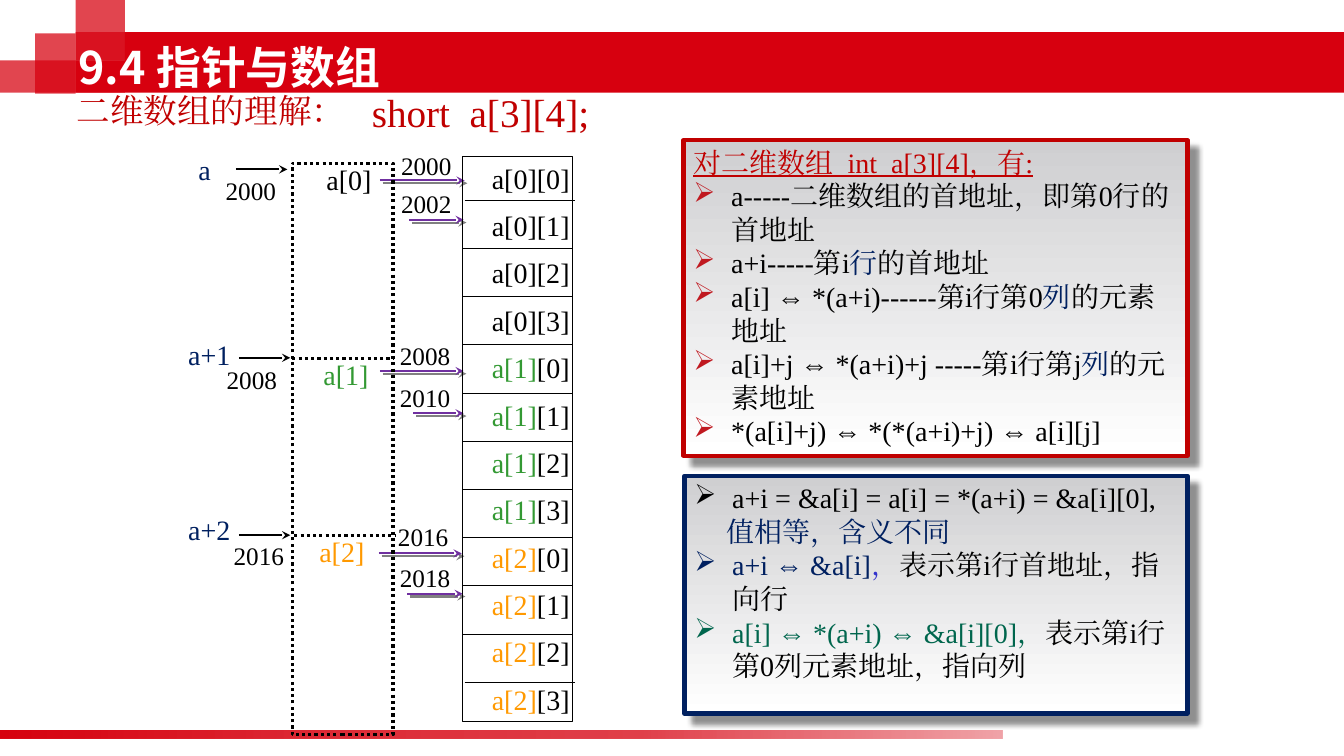
"""Build the slide on pointers and two-dimensional arrays."""
import pptx
import pptx.dml.color
import pptx.enum.dml
import pptx.enum.shapes
import pptx.enum.text
import pptx.oxml.ns
import pptx.util
from lxml import etree

Pt = pptx.util.Pt
qn = pptx.oxml.ns.qn
RED, WINE, NAVY, BLACK, WHITE = "D7000F", "C00000", "002060", "000000", "FFFFFF"
GREEN, AMBER, TEAL, PURPLE, GREY = "339933", "FF9900", "00664D", "7030A0", "808080"
SERIF, SANS = "Times New Roman", "Noto Sans CJK SC"

TITLE = "9.4 指针与数组"
TOPIC = "二维数组的理解："
CODE = "short  a[3][4];"
TILES = [(0, 43.2, 89.3, 23), (25.2, 23.8, 28.8, 43.2),
         (54, -1.4, 35.3, 44.6), (54, 23, 35.3, 20.2)]
SOLID = [(54, 43.2, 35.3, 23), (89.3, 23, 870.7, 43.2)]
STRIPE = [(0, RED, 100), (31, RED, 84), (64, RED, 75), (100, RED, 36)]
SHEEN = [(0, "CFCFD1", 100), (100, WHITE, 100)]
DEEP = (BLACK, 43, 4, 8.4)
THIN = (GREY, 100, 0, 2.8)

ROWS = [
    ("a[0]", BLACK, 226.1, 112.3),
    ("a[1]", GREEN, 223.9, 252),
    ("a[2]", AMBER, 221, 378),
]
STEPS = [
    ("a", 134.6, 105.1, "2000", 154.1, 121.7, 168.5, 121),
    ("a+1", 127.4, 237.6, "2008", 154.8, 257, 170.6, 255.6),
    ("a+2", 127.4, 362.9, "2016", 159.8, 382.3, 170.6, 382.3),
]
MARKS = [
    ("2000", 279.4, 103.7, 271.4, 331.9, 128.9),
    ("2002", 279.4, 131, 292.3, 331.2, 157),
    ("2008", 278.6, 239.8, 271.4, 331.2, 265),
    ("2010", 278.6, 269.3, 295.2, 331.2, 295.2),
    ("2016", 277.2, 368.6, 270.7, 329.8, 395.3),
    ("2018", 278.6, 398.2, 290.9, 330.5, 424.1),
]

RULES = [
    [("对二维数组  int  a[3][4]，有:", WINE)],
    [("a-----二维数组的首地址，即第0行的首地址", BLACK)],
    [("a+i-----第i", BLACK), ("行", NAVY), ("的首地址", BLACK)],
    [("a[i] ⇔ *(a+i)------第i行第0", BLACK), ("列", NAVY), ("的元素地址", BLACK)],
    [("a[i]+j ⇔ *(a+i)+j -----第i行第j", BLACK), ("列", NAVY), ("的元素地址", BLACK)],
    [("*(a[i]+j) ⇔ *(*(a+i)+j) ⇔ a[i][j]", BLACK)],
]
NOTES = [
    [("a+i = &a[i] = a[i] = *(a+i) = &a[i][0],", BLACK)],
    [("值相等，含义不同", NAVY)],
    [("a+i ⇔ &a[i]", NAVY), ("，", "3333CC"), ("表示第i行首地址，指向行", BLACK)],
    [("a[i] ⇔ *(a+i) ⇔ &a[i][0]，", TEAL), ("表示第i行第0列元素地址，指向列", BLACK)],
]
PANELS = [
    (RULES, (488.2, 100.1, 360, 225.4), WINE, "C01920", {0: -27}),
    (NOTES, (488.9, 339.8, 359.3, 169.9), NAVY, None, {1: -4}),
]

deck = pptx.Presentation()
deck.slide_width, deck.slide_height = Pt(960), Pt(540)
slide = deck.slides.add_slide(deck.slide_layouts[6])
shapes = slide.shapes


def node(root, tag, **attrs):
    return etree.SubElement(root, qn("a:" + tag), {k: str(v) for k, v in attrs.items()})


def shade(root, tone, alpha):
    node(node(root, "srgbClr", val=tone), "alpha", val=alpha * 1000)


def paint(fill, tone):
    fill.solid()
    fill.fore_color.rgb = pptx.dml.color.RGBColor.from_string(tone)


def blend(shape, stops, angle):
    shape.fill.gradient()
    shape.fill.gradient_angle = angle
    chain = shape._element.spPr.find(".//" + qn("a:gsLst"))
    for old in list(chain):
        chain.remove(old)
    for pos, tone, alpha in stops:
        shade(node(chain, "gs", pos=pos * 1000), tone, alpha)


def cast(shape, drop=None):
    root = node(shape._element.spPr, "effectLst")
    if drop:
        tone, alpha, blur, dist = drop
        shade(node(root, "outerShdw", blurRad=int(blur * 12700), dist=int(dist * 12700),
                   dir=2700000, algn="tl", rotWithShape=0), tone, alpha)


def stroke(line, tone, width, dots=False):
    paint(line.fill, tone)
    line.width = Pt(width)
    if dots:
        line.dash_style = pptx.enum.dml.MSO_LINE.ROUND_DOT


def block(at, fill=None, edge=None, width=1, dots=False, stops=None, angle=0, drop=None):
    shape = shapes.add_shape(pptx.enum.shapes.MSO_SHAPE.RECTANGLE, *map(Pt, at))
    if stops:
        blend(shape, stops, angle)
    elif fill:
        paint(shape.fill, fill)
    else:
        shape.fill.background()
    if edge:
        stroke(shape.line, edge, width, dots)
    else:
        shape.line.fill.background()
    cast(shape, drop)
    return shape


def rule(left, right, y, tone=BLACK, width=0.75, dots=False, head=False, drop=None):
    kind = pptx.enum.shapes.MSO_CONNECTOR.STRAIGHT
    link = shapes.add_connector(kind, Pt(left), Pt(y), Pt(right), Pt(y))
    stroke(link.line, tone, width, dots)
    if head:
        node(link.line._get_or_add_ln(), "tailEnd", type="stealth")
    cast(link, drop)


def write(text, at=None, shape=None, size=20, tone=BLACK, font=SERIF, bold=False,
          wrap=False, middle=False, mark=None, shift=None):
    shape = shape or shapes.add_textbox(*map(Pt, at))
    frame = shape.text_frame
    frame.word_wrap = wrap
    anchor = pptx.enum.text.MSO_ANCHOR
    frame.vertical_anchor = anchor.MIDDLE if middle else anchor.TOP
    paras = [[(text, tone)]] if isinstance(text, str) else text
    for i, runs in enumerate(paras):
        para = frame.add_paragraph() if i else frame.paragraphs[0]
        para.alignment = pptx.enum.text.PP_ALIGN.LEFT
        if shift is not None:
            props = para._p.get_or_add_pPr()
            props.set("marL", str(Pt(27)))
            props.set("indent", str(Pt(shift.get(i, -27))))
            if i not in shift:
                shade(node(props, "buClr"), mark or runs[0][1], 100)
                node(props, "buChar", char="➢")
        for words, ink in runs:
            run = para.add_run()
            run.text = words
            run.font.size, run.font.bold, run.font.name = Pt(size), bold, font
            run.font.underline = ink == WINE and shift is not None
            paint(run.font.fill, ink)
            node(run._r.get_or_add_rPr(), "ea", typeface=font)


for tile in TILES:
    blend(block(tile), [(0, RED, 73), (100, RED, 73)], 0)
for bar in SOLID:
    block(bar, fill=RED)
block((-1.4, 522, 717.8, 5.8), stops=STRIPE)

write(CODE, (258.5, 59.8, 171.4, 41), size=28, tone=WINE)
write(TOPIC, (47.5, 60.5, 226.8, 36), size=24, tone=WINE, wrap=True)
write(TITLE, (49, 23.8, 640.8, 48.2), size=32, tone=WHITE, font=SANS, bold=True,
      wrap=True, middle=True)

for label, x, y, left, right, level in MARKS:
    write(label, (x, y, 50.4, 28.8), size=18)
    rule(left, right, level, PURPLE, 1.5, head=True, drop=THIN)

block((330.5, 111.6, 78.5, 403.9), edge=BLACK)
for k in range(12):
    name, ink = ROWS[k // 4][:2]
    write([[(name, ink), (f"[{k % 4}]", BLACK)]], (344.2, 111.6 + 33.84 * k, 71.3, 31))
    if k:
        nudge = 1.4 if k in (1, 11) else 0
        rule(330.5 + nudge, 409.2 + nudge, 108.7 + 34.42 * k)

block((208.8, 116.6, 72, 408.2), edge=BLACK, width=2.25, dots=True)
for left, y in [(208.8, 256.3), (210.2, 382.3)]:
    rule(left, left + 72, y, width=2.25, dots=True)
for name, ink, x, y in ROWS:
    write(name, (x, y, 47.5, 31), tone=ink)
for name, x, y, spot, left, top, start, level in STEPS:
    write(name, (x, y, 23.8 if name == "a" else 46.1, 31), tone=NAVY)
    write(spot, (left, top, 50.4, 28.8), size=18)
    rule(start, start + 36.7, level, width=1.5, head=True)

for paras, at, edge, mark, shift in PANELS:
    panel = block(at, edge=edge, width=3, stops=SHEEN, angle=270, drop=DEEP)
    write(paras, shape=panel, wrap=True, mark=mark, shift=shift)

deck.save("out.pptx")
